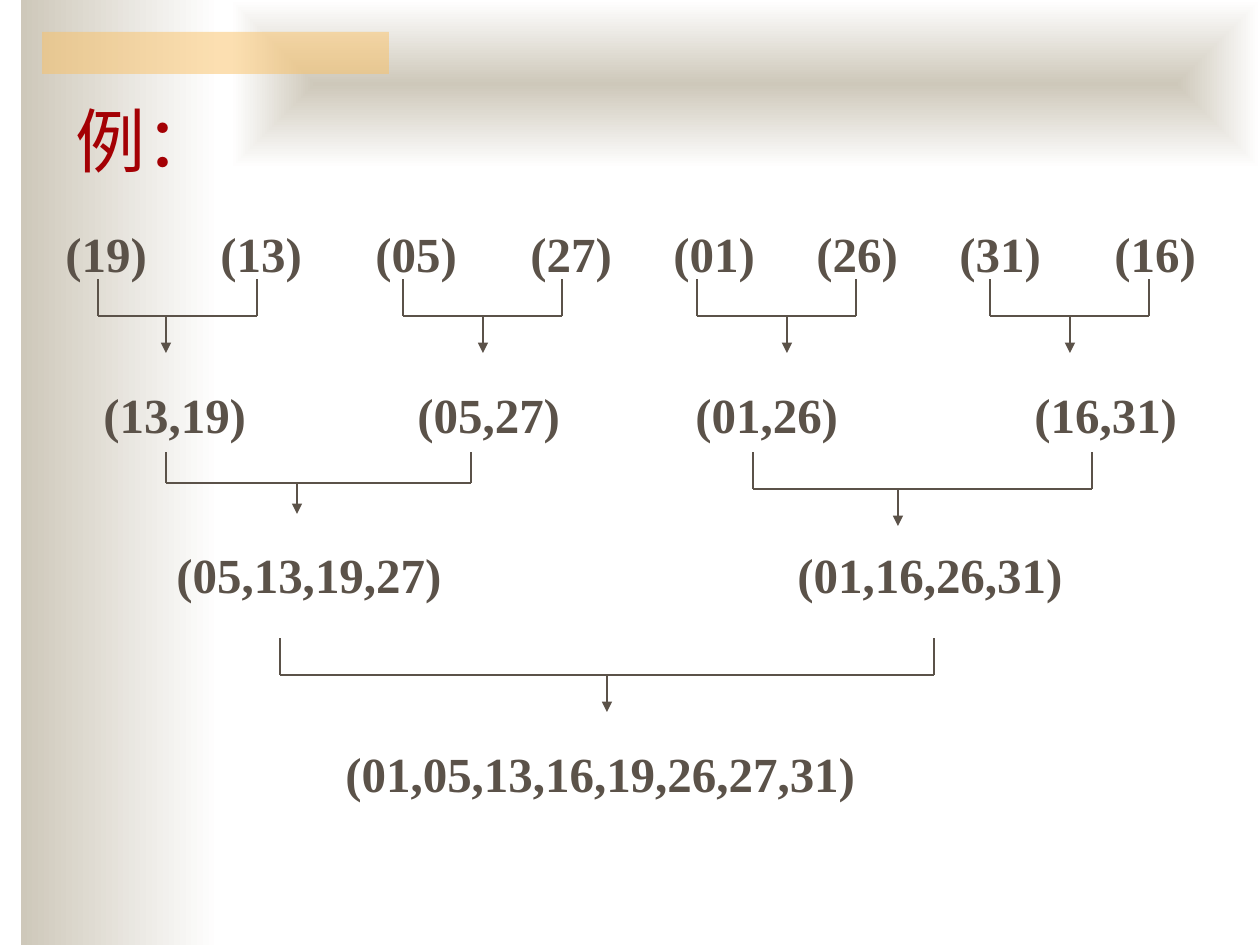
from dataclasses import dataclass

from lxml import etree
from pptx import Presentation
from pptx.dml.color import RGBColor
from pptx.enum.shapes import MSO_CONNECTOR, MSO_SHAPE
from pptx.enum.text import MSO_ANCHOR, MSO_AUTO_SIZE, PP_ALIGN
from pptx.oxml.ns import qn
from pptx.util import Emu, Pt

RECTANGLE = MSO_SHAPE.RECTANGLE
STRAIGHT = MSO_CONNECTOR.STRAIGHT
BOTTOM, TOP = MSO_ANCHOR.BOTTOM, MSO_ANCHOR.TOP
LEFT = PP_ALIGN.LEFT
GROW, FIXED = MSO_AUTO_SIZE.SHAPE_TO_FIT_TEXT, MSO_AUTO_SIZE.NONE
TITLE_ONLY = 5


@dataclass(frozen=True)
class Theme:
    font: str = "Times New Roman"
    heading: str = "A40004"
    ink: str = "5B5249"
    sand: str = "CEC8BA"
    paper: str = "FFFFFF"
    accent: str = "FAC164"
    heading_size: int = 40
    list_size: int = 28
    line_width: float = 0.75


THEME = Theme()

MERGE_ROWS = [
    ((53, 217, 1174, 72), [
        ("(19)", 0), ("(13)", 155), ("(05)", 310), ("(27)", 465),
        ("(01)", 608), ("(26)", 751), ("(31)", 894), ("(16)", 1049)]),
    ((42, 378, 1197, 72), [
        ("(13,19)", 49), ("(05,27)", 363), ("(01,26)", 641), ("(16,31)", 980)]),
    ((42, 538, 1152, 72), [("(05,13,19,27)", 122), ("(01,16,26,31)", 743)]),
    ((76, 737, 1061, 72), [("(01,05,13,16,19,26,27,31)", 257)]),
]

BRACKETS = [
    ((98, 279, 159, 74), 68),
    ((403, 279, 159, 74), 80),
    ((697, 279, 159, 74), 90),
    ((990, 279, 159, 74), 80),
    ((166, 452, 305, 62), 131),
    ((753, 452, 339, 74), 145),
    ((280, 638, 654, 74), 327),
]


def px(length):
    return Emu(round(length * 914400 / 126))


def color(value):
    return RGBColor.from_string(value)


def add_xml(parent, tag, **attributes):
    return etree.SubElement(parent, qn(tag), attributes)


def write(frame, text, size, ink, bold=False, anchor=TOP, fit=FIXED):
    frame.word_wrap = True
    frame.auto_size = fit
    frame.vertical_anchor = anchor
    paragraph = frame.paragraphs[0]
    paragraph.alignment = LEFT
    run = paragraph.add_run()
    run.text = text
    run.font.name = THEME.font
    run.font.size = Pt(size)
    run.font.bold = bold
    run.font.color.rgb = color(ink)
    return paragraph


def add_panel(shapes, box):
    panel = shapes.add_shape(RECTANGLE, *map(px, box))
    panel.shadow.inherit = False
    panel.line.fill.background()
    return panel


def add_gradient_panel(shapes, box):
    panel = add_panel(shapes, box)
    panel.fill.gradient()
    panel.fill.gradient_angle = 0
    for stop, shade in zip(panel.fill.gradient_stops, (THEME.sand, THEME.paper)):
        stop.color.rgb = color(shade)
    return panel


def add_backdrop(shapes, box):
    left, top, width, height = box
    add_gradient_panel(shapes, (left + 21, top, 199, height))
    banner = add_gradient_panel(shapes, (left + 231, top, width - 231, 168))
    gradient = banner.fill._xPr.find(qn("a:gradFill"))
    gradient.remove(gradient.find(qn("a:lin")))
    center = add_xml(gradient, "a:path", path="shape")
    add_xml(center, "a:fillToRect", l="50000", t="50000", r="50000", b="50000")
    accent = add_panel(shapes, (left + 42, top + 32, 347, 42))
    accent.fill.solid()
    accent.fill.fore_color.rgb = color(THEME.accent)
    tint = accent.fill._xPr.find(qn("a:solidFill"))[0]
    add_xml(tint, "a:alpha", val="50000")


def add_heading(slide, box):
    heading = slide.shapes.title
    slide.shapes._spTree.append(heading._element)
    heading.left, heading.top, heading.width, heading.height = map(px, box)
    write(heading.text_frame, "例：", THEME.heading_size, THEME.heading, anchor=BOTTOM)


def add_merge_row(shapes, box, runs):
    row = shapes.add_textbox(*map(px, box))
    text = "".join(("\t" if offset else "") + keys for keys, offset in runs)
    paragraph = write(row.text_frame, text, THEME.list_size, THEME.ink, bold=True, fit=GROW)
    properties = paragraph._p.get_or_add_pPr()
    add_xml(add_xml(properties, "a:spcBef"), "a:spcPct", val="50000")
    tabs = add_xml(properties, "a:tabLst")
    for _, offset in runs:
        if offset:
            add_xml(tabs, "a:tab", pos=str(px(offset)), algn="l")


def add_line(shapes, start, end, arrow=False):
    line = shapes.add_connector(STRAIGHT, *map(px, start + end))
    line.line.width = Pt(THEME.line_width)
    line.line.color.rgb = color(THEME.ink)
    if arrow:
        add_xml(line.line._get_or_add_ln(), "a:tailEnd", type="triangle")
    add_xml(line._element.spPr, "a:effectLst")


def add_bracket(shapes, box, arrow_offset):
    left, top, width, height = box
    right, bar, tip = left + width, top + height // 2, top + height
    stem = left + arrow_offset
    add_line(shapes, (left, bar), (right, bar))
    for side in (left, right):
        add_line(shapes, (side, bar), (side, top))
    add_line(shapes, (stem, bar), (stem, tip), arrow=True)


def add_merge_tree(shapes):
    tree = shapes.add_group_shape().shapes
    for box, runs in MERGE_ROWS:
        add_merge_row(tree, box, runs)
    for box, arrow_offset in BRACKETS:
        add_bracket(tree, box, arrow_offset)


def main():
    deck = Presentation()
    deck.slide_width, deck.slide_height = px(1260), px(945)
    slide = deck.slides.add_slide(deck.slide_layouts[TITLE_ONLY])
    add_backdrop(slide.shapes, (0, 0, 1260, 945))
    add_heading(slide, (63, 94, 1071, 94))
    add_merge_tree(slide.shapes)
    deck.save("out.pptx")


if __name__ == "__main__":
    main()
